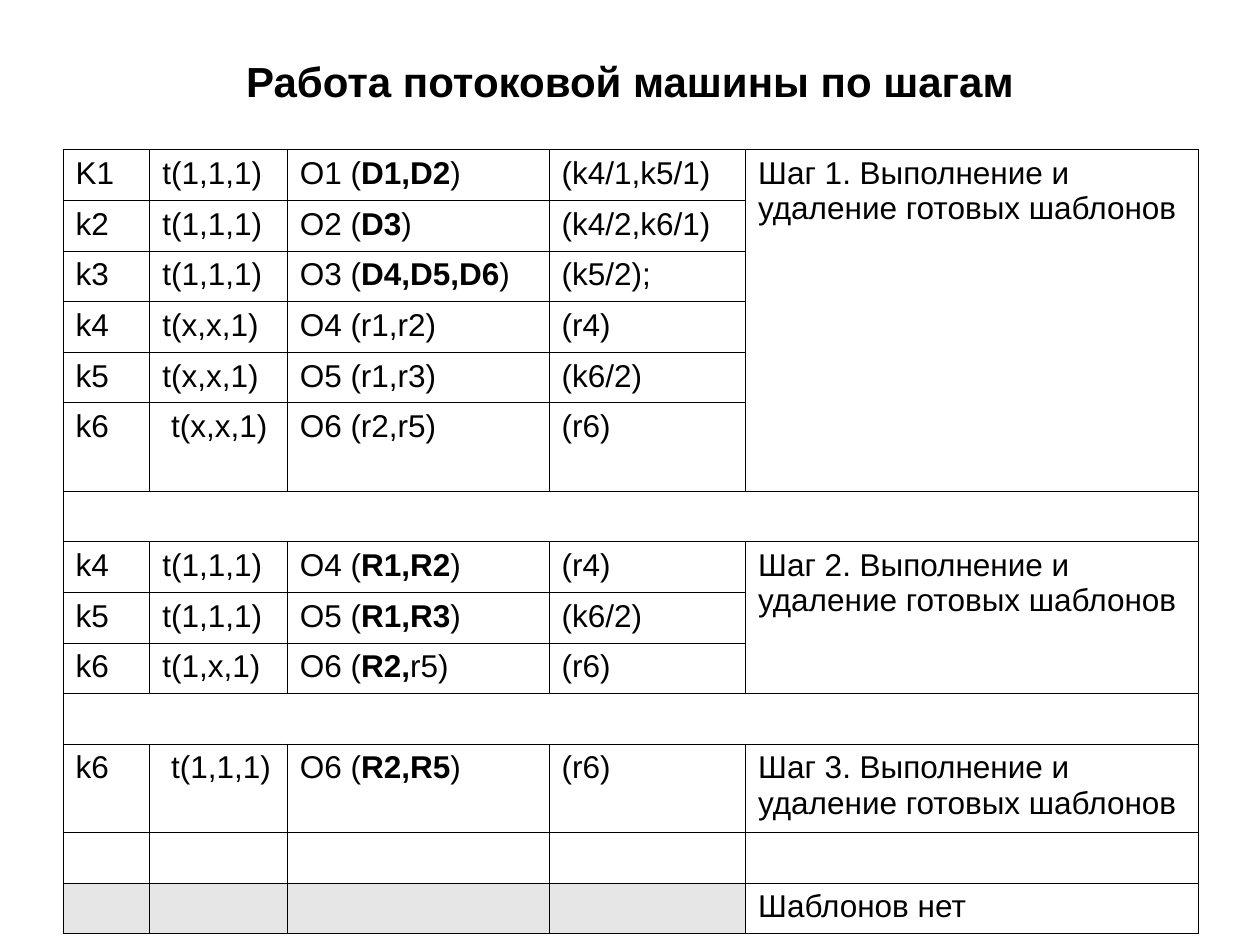
from lxml.etree import SubElement
from pptx import Presentation
from pptx.dml.color import RGBColor
from pptx.enum.text import MSO_ANCHOR as Anchor, PP_ALIGN as Align
from pptx.oxml.ns import qn
from pptx.util import Cm, Pt


def color(hex_string):
    return RGBColor.from_string(hex_string)


def write_text(text_frame, text, size=18, bold=False, align=Align.LEFT, anchor=Anchor.TOP):
    """Fill a text frame; parts between asterisks are bold."""
    text_frame.word_wrap = True
    text_frame.vertical_anchor = anchor
    paragraph = text_frame.paragraphs[0]
    paragraph.alignment = align
    for index, part in enumerate(text.split("*")):
        if part:
            run = paragraph.add_run()
            run.text = part
            run.font.name = "Arial"
            run.font.size = Pt(size)
            run.font.bold = bold or index % 2 == 1
            run.font.color.rgb = color("000000")


presentation = Presentation()
presentation.slide_width, presentation.slide_height = Cm(25.4), Cm(19.05)
slide = presentation.slides.add_slide(presentation.slide_layouts[6])

title = slide.shapes.add_textbox(Cm(1.27), Cm(0.76), Cm(22.86), Cm(1.75))
write_text(title.text_frame, "Работа потоковой машины по шагам", size=24, bold=True,
           align=Align.CENTER, anchor=Anchor.MIDDLE)

STEP = "Шаг {}. Выполнение и удаление готовых шаблонов"
EMPTY = [""] * 5
rows = [
    ["K1", "t(1,1,1)", "O1 (*D1,D2*)", "(k4/1,k5/1)", STEP.format(1)],
    ["k2", "t(1,1,1)", "O2 (*D3*)", "(k4/2,k6/1)", ""],
    ["k3", "t(1,1,1)", "O3 (*D4,D5,D6*)", "(k5/2);", ""],
    ["k4", "t(x,x,1)", "O4 (r1,r2)", "(r4)", ""],
    ["k5", "t(x,x,1)", "O5 (r1,r3)", "(k6/2)", ""],
    ["k6", " t(x,x,1)", "O6 (r2,r5)", "(r6)", ""],
    EMPTY,
    ["k4", "t(1,1,1)", "O4 (*R1,R2*)", "(r4)", STEP.format(2)],
    ["k5", "t(1,1,1)", "O5 (*R1,R3*)", "(k6/2)", ""],
    ["k6", "t(1,x,1)", "O6 (*R2,*r5)", "(r6)", ""],
    EMPTY,
    ["k6", " t(1,1,1)", "O6 (*R2,R5*)", "(r6)", STEP.format(3)],
    EMPTY,
    ["", "", "", "", "Шаблонов нет"],
]
column_widths = [1.75, 2.77, 5.28, 3.96, 9.12]
tall_rows = (5, 11)
row_heights = [1.78 if index in tall_rows else 1.02 for index in range(len(rows))]
last_row = len(rows) - 1

table = slide.shapes.add_table(
    len(rows), len(column_widths), Cm(1.27), Cm(3.02),
    Cm(sum(column_widths)), Cm(sum(row_heights))).table
table.first_row = table.horz_banding = False
for column, width in zip(table.columns, column_widths):
    column.width = Cm(width)
for row, height in zip(table.rows, row_heights):
    row.height = Cm(height)

# First and last cell of each merged block, as (row, column)
for first, last in [((0, 4), (5, 4)), ((6, 0), (6, 4)), ((7, 4), (9, 4)), ((10, 0), (10, 4))]:
    table.cell(*first).merge(table.cell(*last))

for row_index, texts in enumerate(rows):
    for column_index, text in enumerate(texts):
        cell = table.cell(row_index, column_index)
        write_text(cell.text_frame, text)
        properties = cell._tc.get_or_add_tcPr()
        for side in ("a:lnL", "a:lnR", "a:lnT", "a:lnB"):
            border = SubElement(properties, qn(side), w=str(Pt(0.45)))
            border_fill = SubElement(border, qn("a:solidFill"))
            SubElement(border_fill, qn("a:srgbClr"), val="000000")
        shaded = row_index == last_row and column_index < 4
        cell.fill.solid()
        cell.fill.fore_color.rgb = color("E6E6E6" if shaded else "FFFFFF")

presentation.save("out.pptx")
